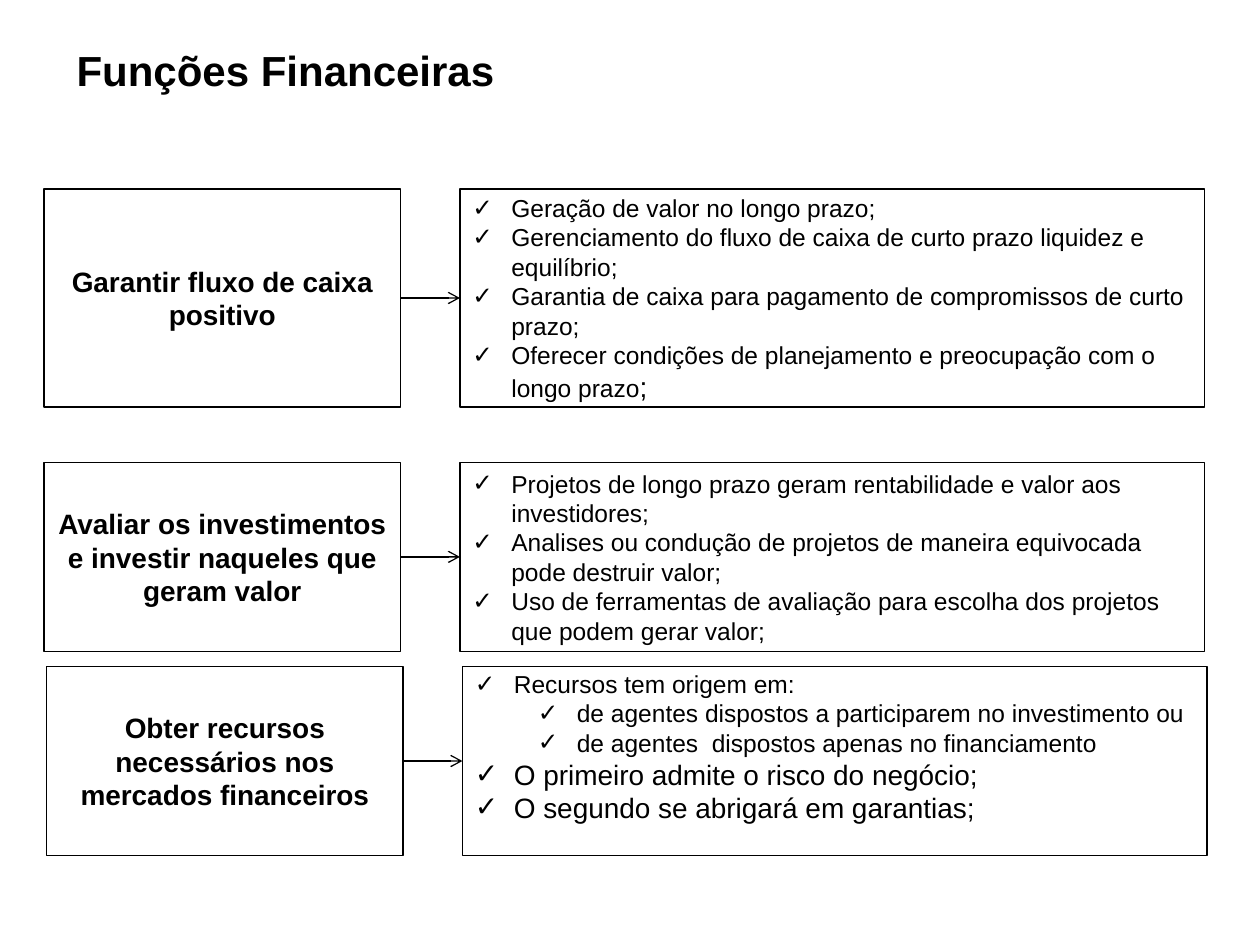
from lxml import etree
from pptx import Presentation
from pptx import util as u
from pptx.enum import shapes, text
from pptx.dml.color import RGBColor
from pptx.oxml.ns import qn

COLORS = {"ink": "000000"}
LEFT_WIDTH, RIGHT_WIDTH, RIGHT_OFFSET = 2.83, 5.91, 3.3
INDENT = 0.31

FUNCTIONS = [
    {
        "left": 0.35, "top": 1.5, "height": 1.73, "bottom_inset": 0.05,
        "name": "Garantir fluxo de caixa positivo",
        "items": [
            (0, [("Geração de valor no longo prazo;", 14)]),
            (0, [("Gerenciamento do fluxo de caixa de curto prazo liquidez e equilíbrio;", 14)]),
            (0, [("Garantia de caixa para pagamento de compromissos de curto prazo;", 14)]),
            (0, [("Oferecer condições de planejamento e preocupação com o longo prazo", 14), (";", 16)]),
        ],
    },
    {
        "left": 0.35, "top": 3.67, "height": 1.5, "bottom_inset": 0.05,
        "name": "Avaliar os investimentos e investir naqueles que geram valor",
        "items": [
            (0, [("Projetos de longo prazo geram rentabilidade e valor aos investidores;", 14)]),
            (0, [("Analises ou condução de projetos de maneira equivocada pode destruir valor;", 14)]),
            (0, [("Uso de ferramentas de avaliação para escolha dos projetos que podem gerar valor;", 14)]),
        ],
    },
    {
        "left": 0.37, "top": 5.29, "height": 1.5, "bottom_inset": 0.28,
        "name": "Obter recursos necessários nos mercados financeiros",
        "items": [
            (0, [("Recursos tem origem em:", 14)]),
            (1, [("de agentes dispostos a participarem no investimento ou", 14)]),
            (1, [("de agentes  dispostos apenas no financiamento", 14)]),
            (0, [("O primeiro admite o risco do negócio;", 16)]),
            (0, [("O segundo se abrigará em garantias;", 16)]),
        ],
    },
]


class SlideBuilder:
    """Holds the style and the current page, and draws each kind of element."""

    def __init__(self, page):
        self.page = page
        self.font = "Arial"
        self.ink = RGBColor.from_string(COLORS["ink"])
        self.line_width = u.Pt(0.75)

    def add_span(self, para, words, size, bold=False):
        span = para.add_run()
        span.text = words
        style = {"name": self.font, "size": u.Pt(size), "bold": bold}
        for key, value in style.items():
            setattr(span.font, key, value)
        span.font.color.rgb = self.ink

    def set_frame(self, box, bottom_inset=0.05):
        layout = {
            "word_wrap": True,
            "vertical_anchor": text.MSO_ANCHOR.MIDDLE,
            "margin_left": u.Inches(0.1),
            "margin_right": u.Inches(0.1),
            "margin_top": u.Inches(0.05),
            "margin_bottom": u.Inches(bottom_inset),
        }
        for key, value in layout.items():
            setattr(box.text_frame, key, value)

    def title(self, words, left, top, width, height):
        box = self.page.shapes.add_textbox(*map(u.Inches, (left, top, width, height)))
        self.set_frame(box)
        para = box.text_frame.paragraphs[0]
        para.line_spacing = 0.9
        self.add_span(para, words, 24, bold=True)

    def rectangle(self, left, top, width, height, bottom_inset=0.05):
        box = self.page.shapes.add_shape(
            shapes.MSO_SHAPE.RECTANGLE, *map(u.Inches, (left, top, width, height)))
        box.shadow.inherit = False
        box.fill.background()
        box.line.color.rgb = self.ink
        box.line.width = self.line_width
        self.set_frame(box, bottom_inset)
        return box

    def heading(self, box, words):
        para = box.text_frame.paragraphs[0]
        para.alignment = text.PP_ALIGN.CENTER
        self.add_span(para, words, 16, bold=True)

    def checklist(self, box, items):
        frame = box.text_frame
        for index, (level, spans) in enumerate(items):
            para = frame.add_paragraph() if index else frame.paragraphs[0]
            para.alignment = text.PP_ALIGN.LEFT
            para.level = level
            props = para._p.get_or_add_pPr()
            props.set("marL", str(u.Inches(INDENT + level * 0.5)))
            props.set("indent", str(-u.Inches(INDENT)))
            etree.SubElement(props, qn("a:buFont"), typeface=self.font)
            etree.SubElement(props, qn("a:buChar"), char="✓")
            for words, size in spans:
                self.add_span(para, words, size)

    def arrow(self, start, end):
        link = self.page.shapes.add_connector(shapes.MSO_CONNECTOR.STRAIGHT, 0, 0, 0, 0)
        link.begin_connect(start, 3)
        link.end_connect(end, 1)
        link.line.color.rgb = self.ink
        link.line.width = self.line_width
        etree.SubElement(link.line._get_or_add_ln(), qn("a:tailEnd"), type="arrow")
        etree.SubElement(link._element.spPr, qn("a:effectLst"))


def main():
    deck = Presentation()
    deck.slide_width, deck.slide_height = u.Inches(10), u.Inches(7.5)
    builder = SlideBuilder(deck.slides.add_slide(deck.slide_layouts[6]))
    builder.title("Funções Financeiras", 0.51, 0.14, 9.37, 0.87)
    for function in FUNCTIONS:
        left, top, height = (function[key] for key in ("left", "top", "height"))
        name_box = builder.rectangle(left, top, LEFT_WIDTH, height)
        builder.heading(name_box, function["name"])
        detail_box = builder.rectangle(
            left + RIGHT_OFFSET, top, RIGHT_WIDTH, height, function["bottom_inset"])
        builder.checklist(detail_box, function["items"])
        builder.arrow(name_box, detail_box)
    deck.save("out.pptx")


if __name__ == "__main__":
    main()
